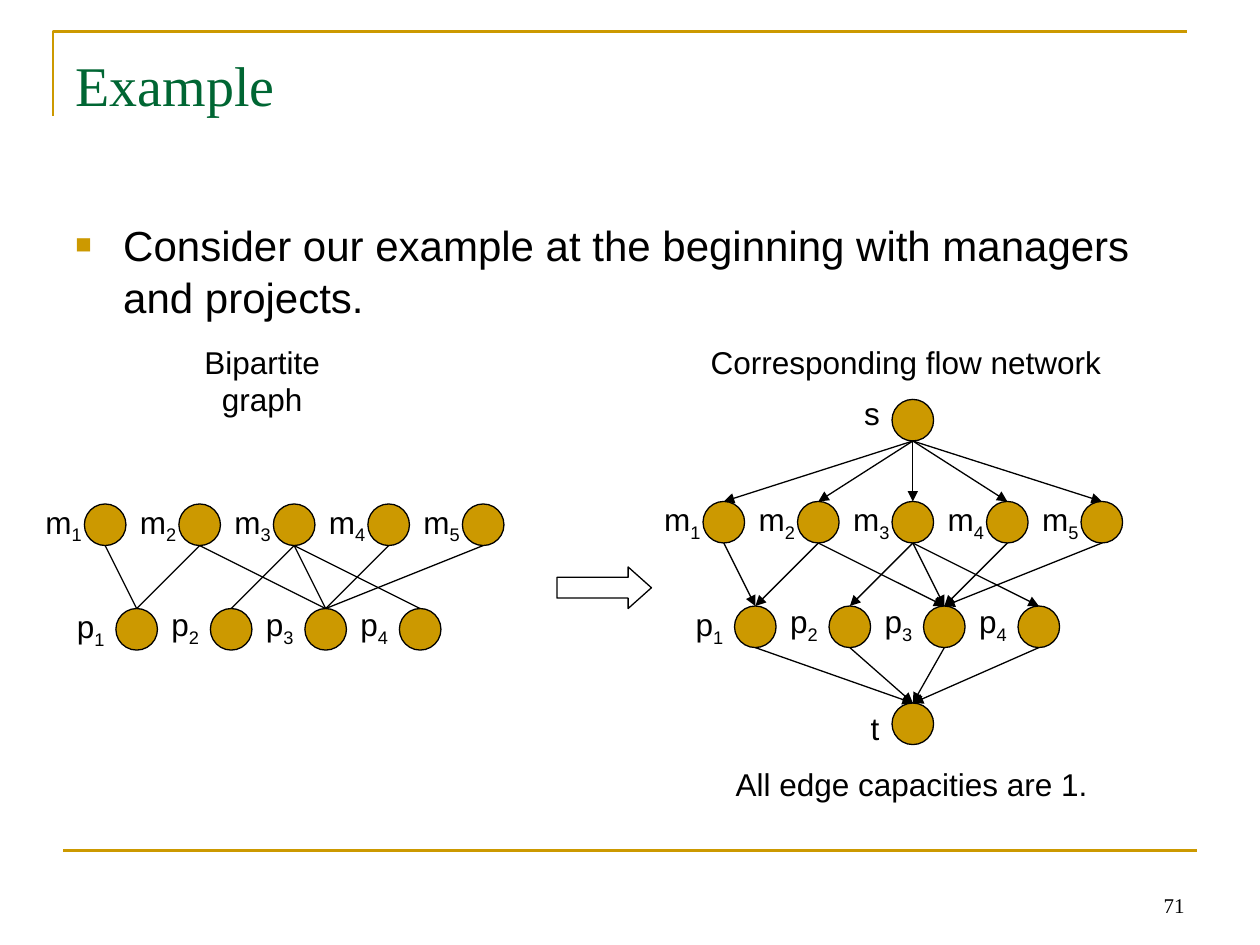
from pptx import Presentation
from pptx.dml.color import RGBColor
from pptx.enum.shapes import MSO_CONNECTOR as CONN, MSO_SHAPE as SHAPE
from pptx.enum.text import MSO_ANCHOR as ANCHOR, MSO_AUTO_SIZE as AUTO, PP_ALIGN as ALIGN
from pptx.oxml.ns import qn
from pptx.util import Inches, Pt
from lxml.etree import SubElement

GOLD, GREEN, BLACK = "CC9900", "006633", "000000"
SANS, SERIF = "Arial", "Times New Roman"
TITLE = "Example"
BODY = "Consider our example at the beginning with managers and projects."
PAGE = "71"
CAPTIONS = [
    ("Bipartite graph", 1.17, 2.67, 1.82),
    ("Corresponding flow network", 5.54, 2.67, 3.3),
    ("All edge capacities are 1.", 5.74, 6.02, 2.99),
]
GRAPHS = [
    {"left": 0.67, "top": 4, "arrow": False},
    {"left": 5.58, "top": 3.98, "arrow": True},
]
MANAGERS, PROJECTS = 5, 4
EDGES = [(1, 1), (2, 1), (2, 3), (3, 2), (3, 3), (3, 4), (4, 3), (5, 3)]
SOURCE = ("s", 7.08, 3.17, (6.76, 3.08, 0.32))
SINK = ("t", 7.08, 5.58, (6.81, 5.58, 0.27))
NODE, PITCH, ROW_GAP, ROW_SHIFT = 0.33, 0.75, 0.83, 0.25
LABEL_GAP = 0.41

prs = Presentation()
prs.slide_width, prs.slide_height = Inches(10), Inches(7.5)
s = prs.slides.add_slide(prs.slide_layouts[5])


def rgb(value):
    return RGBColor.from_string(value)


def assign(obj, **values):
    for name, value in values.items():
        setattr(obj, name, value)


def write(tf, runs, size, font=SANS, color=BLACK, align=ALIGN.LEFT):
    p = tf.paragraphs[0]
    p.alignment = align
    for text, lowered in runs:
        r = p.add_run()
        r.text = text
        assign(r.font, size=Pt(size), name=font)
        r.font.color.rgb = rgb(color)
        if lowered:
            r._r.get_or_add_rPr().set("baseline", "-25000")
    return p


def add_text(runs, x, y, w, h=0.4, size=18, align=ALIGN.CENTER, font=SANS, **frame):
    tf = s.shapes.add_textbox(*map(Inches, (x, y, w, h))).text_frame
    assign(tf, **{"word_wrap": False, "auto_size": AUTO.SHAPE_TO_FIT_TEXT, **frame})
    return write(tf, runs, size, font, align=align)


def outline(sp, color=BLACK, width=0.75):
    sp.line.color.rgb = rgb(color)
    sp.line.width = Pt(width)


def add_line(start, end, arrow=False, color=BLACK, width=0.75):
    sp = s.shapes.add_connector(CONN.STRAIGHT, *map(Inches, (*start, *end)))
    outline(sp, color, width)
    if arrow:
        SubElement(sp.line._get_or_add_ln(), qn("a:tailEnd"), type="triangle")
    SubElement(sp._element.spPr, qn("a:effectLst"))


def add_node(x, y):
    sp = s.shapes.add_shape(SHAPE.OVAL, *map(Inches, (x, y, NODE, NODE)))
    sp.shadow.inherit = False
    sp.fill.solid()
    sp.fill.fore_color.rgb = rgb(GOLD)
    outline(sp)
    center = x + NODE / 2
    return {"top": (center, y), "bottom": (center, y + NODE)}


def add_row(letter, count, left, top, width):
    nodes = []
    for i in range(count):
        x = left + i * PITCH
        nodes.append(add_node(x, top))
        rise = 0.08 if letter == "p" and i else 0.06
        add_text([(letter, False), (str(i + 1), True)],
                 x - LABEL_GAP, top - rise, width, 0.44)
    return nodes


def add_end(name, x, y, label):
    add_text([(name, False)], *label)
    return add_node(x, y)


def add_graph(left, top, arrow):
    managers = add_row("m", MANAGERS, left, top, 0.49)
    projects = add_row("p", PROJECTS, left + ROW_SHIFT, top + ROW_GAP, 0.42)
    for m, p in EDGES:
        add_line(managers[m - 1]["bottom"], projects[p - 1]["top"], arrow)
    return managers, projects


builder = s.shapes.build_freeform(Inches(0.42), Inches(0.92))
builder.add_line_segments([(Inches(0.42), Inches(0.25)), (Inches(9.42), Inches(0.25))], close=False)
frame = builder.convert_to_shape()
frame.shadow.inherit = False
frame.fill.background()
outline(frame, GOLD, 1.5)
add_line((0.5, 6.75), (9.5, 6.75), color=GOLD, width=1.5)

title = s.shapes.title
assign(title, left=Inches(0.5), top=Inches(0.3), width=Inches(9), height=Inches(1.25))
assign(title.text_frame, vertical_anchor=ANCHOR.TOP, auto_size=AUTO.NONE,
       word_wrap=True, margin_top=Inches(0.1))
write(title.text_frame, [(TITLE, False)], 32, SERIF, GREEN)

body = add_text([(BODY, False)], 0.5, 1.67, 9, 4.96, 24, ALIGN.LEFT,
                word_wrap=True, auto_size=AUTO.NONE)
assign(body, space_before=Pt(6), line_spacing=1.05)
pPr = body._p.get_or_add_pPr()
pPr.set("marL", str(Inches(0.38)))
pPr.set("indent", str(Inches(-0.38)))
SubElement(SubElement(pPr, qn("a:buClr")), qn("a:srgbClr"), val=GOLD)
SubElement(pPr, qn("a:buSzPct"), val="65000")
SubElement(pPr, qn("a:buFont"), typeface=SANS)
SubElement(pPr, qn("a:buChar"), char="■")

add_text([(PAGE, False)], 7.17, 6.83, 2.33, 0.5, 12, ALIGN.RIGHT, SERIF,
         word_wrap=True, auto_size=AUTO.NONE, vertical_anchor=ANCHOR.BOTTOM)

for text, x, y, w in CAPTIONS:
    add_text([(text, False)], x, y, w)

bipartite, network = [add_graph(**graph) for graph in GRAPHS]
managers, projects = network
source, sink = add_end(*SOURCE), add_end(*SINK)
for node in managers:
    add_line(source["bottom"], node["top"], True)
for node in projects:
    add_line(node["bottom"], sink["top"], True)

arrow = s.shapes.add_shape(SHAPE.RIGHT_ARROW, *map(Inches, (4.42, 4.5, 0.75, 0.33)))
arrow.adjustments[0], arrow.adjustments[1] = 0.5, 0.56
arrow.shadow.inherit = False
arrow.fill.background()
outline(arrow)

prs.save("out.pptx")
